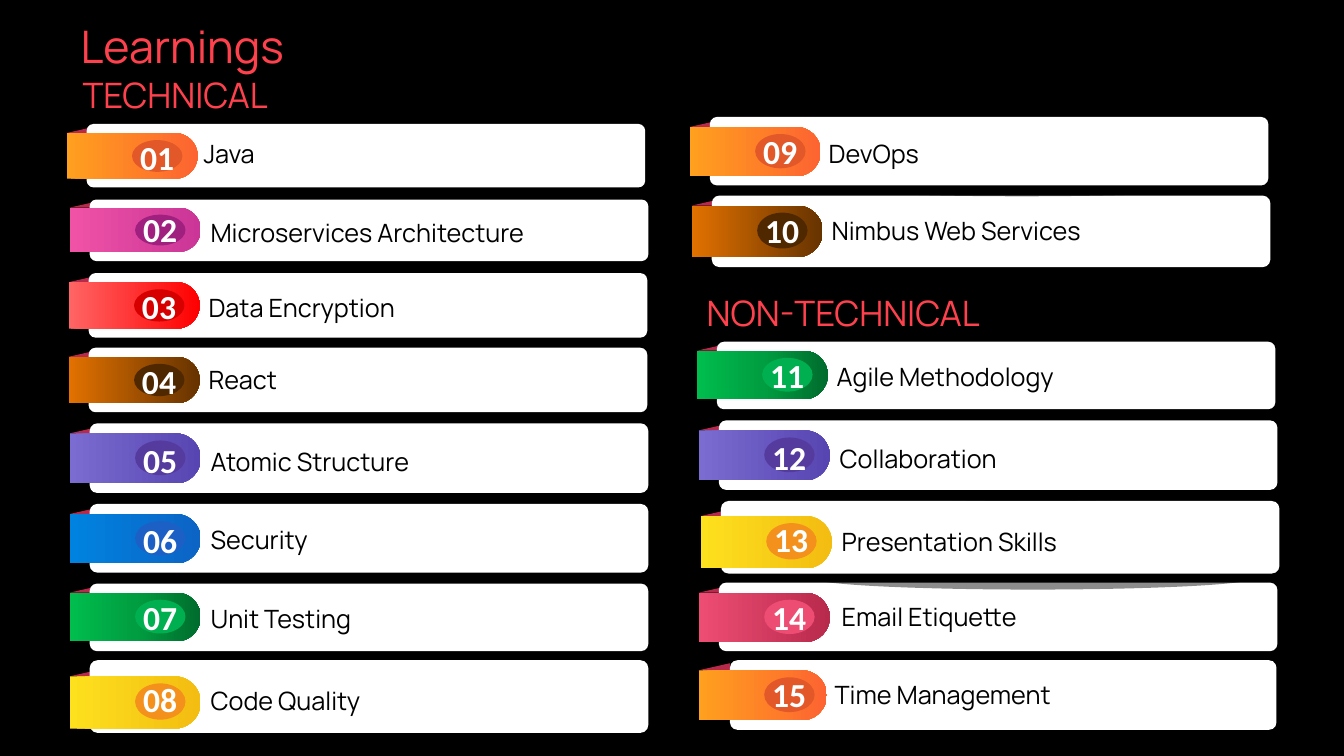
from lxml import etree
from pptx import Presentation
from pptx import util as u
from pptx.dml import color
from pptx.enum import shapes, text
from pptx.oxml import ns

SHAPE = shapes.MSO_SHAPE
RED, WINE, BLACK, WHITE = "FE414D", "B82A4C", "000000", "FFFFFF"

# Tab gradient from left to right, then the colour of the oval
PALETTES = {
    "orange": (("FFA01E", "FD6431"), "E25829"),
    "pink": (("F053A6", "CA3597"), "9F207F"),
    "red": (("FF6565", "FF0000"), "D60000"),
    "brown": (("E27100", "663300"), "502800"),
    "violet": (("7A6CD0", "5745B1"), "563B9F"),
    "blue": (("0083E0", "0C64C5"), "1C60C6"),
    "green": (("00BD4E", "009E40", "006C2D"), "00B050"),
    "yellow": (("FDE01E", "F3BD11"), "F4911C"),
    "rose": (("EE4D73", "B82A4C"), "EE4D73"),
}

# Number, label, palette, tab left, card top, card height,
# number top, label left, label top, drop from card top to tab top
ROWS = [
    ("01", "Java", "orange", 0.66, 1.23, 0.63, 1.31, 1.92, 1.32, 0.09),
    ("02", "Microservices Architecture", "pink", 0.69, 1.98, 0.61, 2.02, 1.99, 2.11, 0.08),
    ("03", "Data Encryption", "red", 0.68, 2.71, 0.64, 2.79, 1.97, 2.85, 0.09),
    ("10", "Nimbus Web Services", "brown", 6.86, 1.94, 0.71, 2.03, 8.15, 2.09, 0.1),
    ("09", "DevOps", "orange", 6.84, 1.16, 0.68, 1.25, 8.12, 1.32, 0.1),
    ("04", "React", "brown", 0.68, 3.45, 0.64, 3.53, 1.97, 3.57, 0.09),
    ("14", "Email Etiquette", "rose", 6.93, 5.78, 0.68, 5.87, 8.25, 5.92, 0.1),
    ("13", "Presentation Skills", "yellow", 6.95, 4.97, 0.72, 5.1, 8.25, 5.17, 0.15),
    ("15", "Time Management", "orange", 6.93, 6.55, 0.69, 6.64, 8.18, 6.69, 0.1),
    ("05", "Atomic Structure", "violet", 0.69, 4.2, 0.69, 4.32, 1.99, 4.38, 0.1),
    ("06", "Security", "blue", 0.69, 5, 0.68, 5.11, 1.99, 5.15, 0.1),
    ("07", "Unit Testing", "green", 0.69, 5.79, 0.67, 5.87, 1.99, 5.94, 0.09),
    ("12", "Collaboration", "violet", 6.93, 4.17, 0.69, 4.29, 8.23, 4.35, 0.1),
    ("11", "Agile Methodology", "green", 6.91, 3.39, 0.67, 3.47, 8.2, 3.54, 0.09),
    ("08", "Code Quality", "yellow", 0.69, 6.55, 0.72, 6.69, 1.99, 6.75, 0.16),
]


def rgb(value):
    return color.RGBColor.from_string(value)


class LearningsSlide:
    def __init__(self, deck):
        self.page = deck.slides.add_slide(deck.slide_layouts[6])
        self.page.background.fill.solid()
        self.page.background.fill.fore_color.rgb = rgb(BLACK)
        self.parent = self.page.shapes

    def shape(self, kind, left, top, width, height, fill):
        item = self.parent.add_shape(kind, *map(u.Inches, (left, top, width, height)))
        item.shadow.inherit = False
        item.line.fill.background()
        item.fill.solid()
        item.fill.fore_color.rgb = rgb(fill)
        return item

    def shadow(self, left, top, width, height):
        oval = self.shape(SHAPE.OVAL, left, top, width, height, BLACK)
        tint = oval.fill._xPr.find(".//" + ns.qn("a:srgbClr"))
        etree.SubElement(tint, ns.qn("a:alpha"), val="45000")

    def tab(self, left, top, width, height, colours):
        # Drawn upright, then turned so its round end points right
        tab = self.shape(SHAPE.ROUND_2_SAME_RECTANGLE, left + (width - height) / 2,
                         top - (width - height) / 2, height, width, colours[0])
        tab.rotation = 90
        tab.adjustments[0], tab.adjustments[1] = 0.5, 0
        tab.fill.gradient()
        tab.fill.gradient_angle = 90
        stops = tab._element.spPr.find(".//" + ns.qn("a:gsLst"))
        for stop in list(stops):
            stops.remove(stop)
        for index, value in enumerate(colours):
            place = 100000 * index // (len(colours) - 1)
            stop = etree.SubElement(stops, ns.qn("a:gs"), pos=str(place))
            etree.SubElement(stop, ns.qn("a:srgbClr"), val=value)

    def text(self, words, left, top, width, height, size, colour, font="Manrope", bold=False):
        box = self.parent.add_textbox(*map(u.Inches, (left, top, width, height)))
        box.text_frame.word_wrap = True
        box.text_frame.auto_size = text.MSO_AUTO_SIZE.SHAPE_TO_FIT_TEXT
        para = box.text_frame.paragraphs[0]
        span = para.add_run()
        span.text = words
        span.font.size = u.Pt(size)
        span.font.name = font
        span.font.bold = bold
        span.font.color.rgb = rgb(colour)

    def row(self, number, label, palette, left, card_top, card_height,
            number_top, label_left, label_top, drop):
        gradient, oval_colour = PALETTES[palette]
        tab_top, tab_height = card_top + drop, 0.72 * card_height
        # The last card starts further right than the others
        inset, card_width, tab_width = (0.31, 5.42, 1.27) if number == "15" else (0.2, 5.54, 1.3)
        self.parent = self.page.shapes.add_group_shape().shapes
        self.shadow(left + 1.1, tab_top + tab_height - 0.02, 4.39, 0.32 * card_height)
        fold = self.shape(SHAPE.RIGHT_TRIANGLE, left, tab_top - 0.07, 0.31, 0.07, WINE)
        fold._element.spPr.find(ns.qn("a:xfrm")).set("flipH", "1")
        card = self.shape(SHAPE.ROUNDED_RECTANGLE, left + inset, card_top,
                          card_width, card_height, WHITE)
        card.adjustments[0] = 0.107
        self.tab(left, tab_top, tab_width, tab_height, gradient)
        self.shape(SHAPE.OVAL, left + 0.65, tab_top + 0.07, 0.5, card_height / 2, oval_colour)
        self.text(number, left + 0.63, number_top, 0.58, 0.5, 24, WHITE, "Calibri", True)
        self.text(label, label_left, label_top, 4.22, 0.4, 18, BLACK)
        self.parent = self.page.shapes


def main():
    deck = Presentation()
    deck.slide_width, deck.slide_height = u.Inches(13.33), u.Inches(7.5)
    slide = LearningsSlide(deck)

    # Headings
    slide.text("Learnings", 0.7, 0.14, 3.19, 0.64, 32, RED)
    slide.text("TECHNICAL", 0.72, 0.68, 2.35, 0.52, 25, RED)
    slide.text("NON-TECHNICAL", 6.91, 2.84, 4.22, 0.52, 25, RED)

    # Numbered cards, from back to front
    for row in ROWS:
        slide.row(*row)

    deck.save("out.pptx")


if __name__ == "__main__":
    main()
